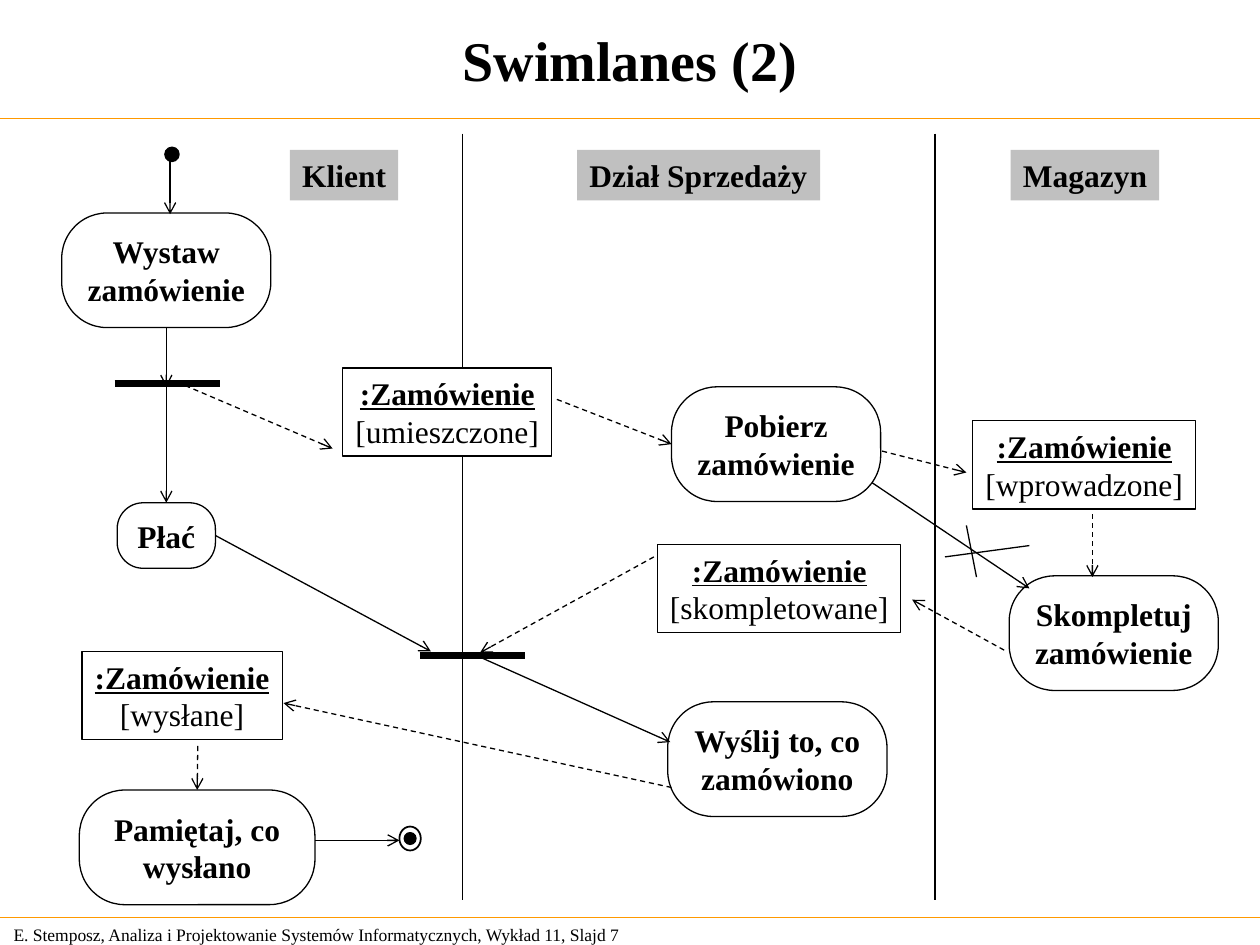
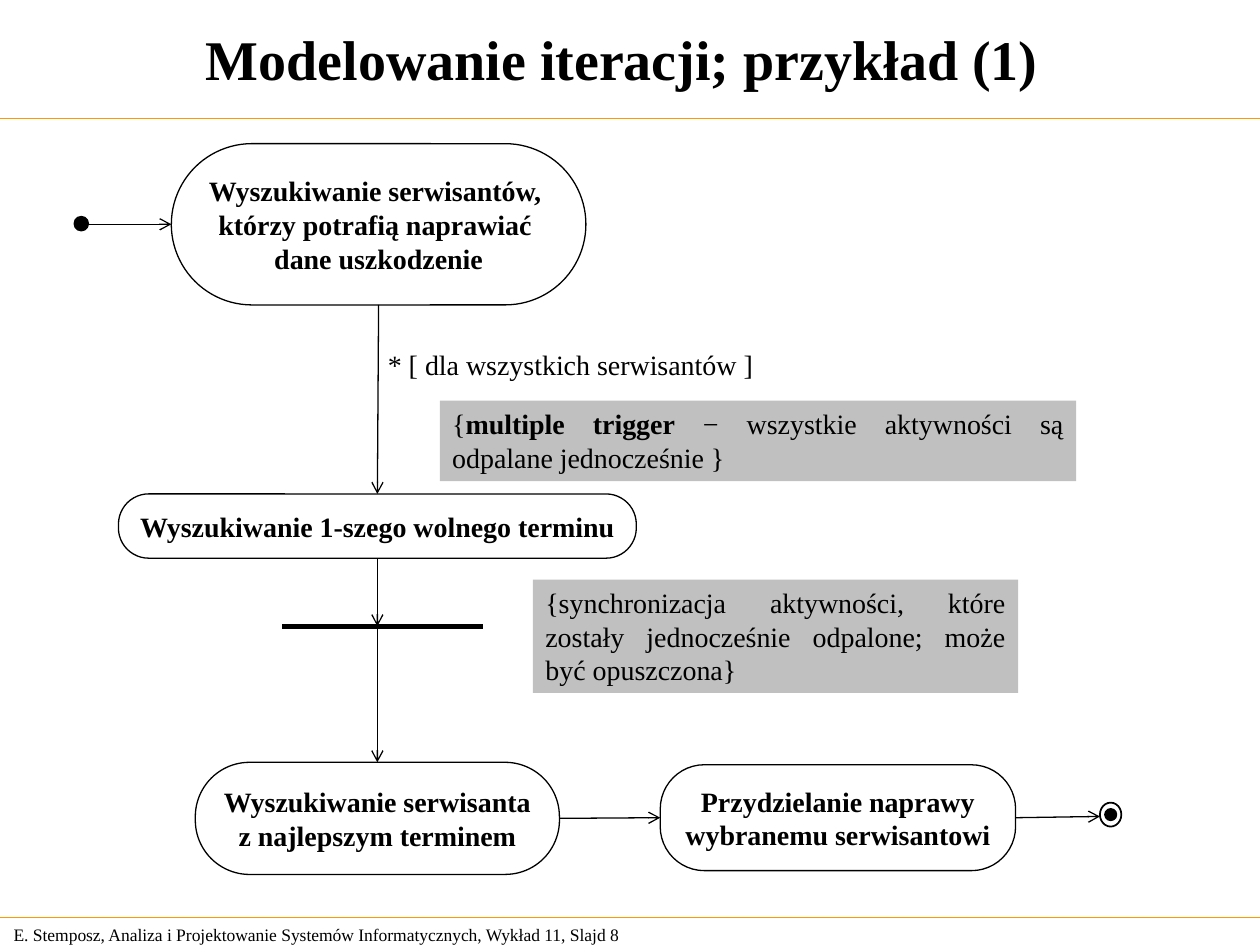
from lxml.etree import SubElement
from pptx import Presentation
from pptx.dml.color import RGBColor
from pptx.enum.dml import MSO_LINE
from pptx.enum.shapes import MSO_CONNECTOR, MSO_SHAPE as Kind
from pptx.enum.text import MSO_ANCHOR as Anchor, MSO_AUTO_SIZE, PP_ALIGN as Align
from pptx.oxml.ns import qn
from pptx.shapes.autoshape import Shape
from pptx.util import Inches, Pt

BLACK = RGBColor(0x00, 0x00, 0x00)
WHITE = RGBColor(0xFF, 0xFF, 0xFF)
GRAY = RGBColor(0xC0, 0xC0, 0xC0)
ORANGE = RGBColor(0xFF, 0x99, 0x00)
FONT = "Times New Roman"
TOP, LEFT, BOTTOM, RIGHT = range(4)
FOOTER = "E. Stemposz, Analiza i Projektowanie Systemów Informatycznych, Wykład 11, Slajd "

deck = Presentation()
deck.slide_width, deck.slide_height = Inches(10), Inches(7.5)
COLUMN = deck.slide_width / 100
ROW = deck.slide_height / 75


def add_box(shapes, kind, area, paras=(), size=18, fill=None, line=None,
            radius=None, align=Align.CENTER, anchor=Anchor.MIDDLE, wrap=False):
    """Add a shape; area is left, top, width, height in grid units.

    Each paragraph is a list of (text, style) runs; style may hold b and u.
    """
    left, top, width, height = area
    box = shapes.add_shape(kind, int(left * COLUMN), int(top * ROW),
                           int(width * COLUMN), int(height * ROW))
    box.shadow.inherit = False
    if radius is not None:
        box.adjustments[0] = radius
    if fill is None:
        box.fill.background()
    else:
        box.fill.solid()
        box.fill.fore_color.rgb = fill
    if line is None:
        box.line.fill.background()
    else:
        box.line.color.rgb = BLACK
        box.line.width = Pt(line)
    frame = box.text_frame
    frame.word_wrap = wrap
    frame.vertical_anchor = anchor
    for number, runs in enumerate(paras):
        para = frame.add_paragraph() if number else frame.paragraphs[0]
        para.alignment = align
        for text, style in runs:
            span = para.add_run()
            span.text = text
            span.font.name, span.font.size = FONT, Pt(size)
            span.font.color.rgb = BLACK
            span.font.bold = "b" in style
            span.font.underline = "u" in style
    return box


def add_line(page, start, end, width=0.75, color=BLACK, dashed=False, arrow=False):
    """Add a line; each end is a grid point or a (box, side) pair."""
    joins = [isinstance(point[0], Shape) for point in (start, end)]
    (x1, y1), (x2, y2) = [(0, 0) if joined else point
                          for joined, point in zip(joins, (start, end))]
    line = page.shapes.add_connector(MSO_CONNECTOR.STRAIGHT, int(x1 * COLUMN), int(y1 * ROW),
                                     int(x2 * COLUMN), int(y2 * ROW))
    if joins[0]:
        line.begin_connect(*start)
    if joins[1]:
        line.end_connect(*end)
    line.line.color.rgb = color
    line.line.width = Pt(width)
    if dashed:
        line.line.dash_style = MSO_LINE.DASH
    if arrow:
        SubElement(line.get_or_add_ln(), qn("a:tailEnd"), type="arrow")
    SubElement(line.element.spPr, qn("a:effectLst"))
    return line


# Shared frame: title, footer, rules, start and end states
layout = deck.slide_layouts.get_by_name("Title Only")
for holder in list(layout.placeholders):
    if holder.placeholder_format.idx:
        holder.element.getparent().remove(holder.element)

pages = []
for title_text, title_area, number, start_state, end_state in [
    ("Swimlanes (2)", (0.4, 0.4, 99.2, 8.5), 7, (13.1, 11.7), (31.7, 65.6)),
    ("Modelowanie iteracji; przykład (1) ", (0, 0, 99.9, 9.2), 8, (5.9, 17.2), (87.3, 63.7)),
]:
    page = deck.slides.add_slide(layout)
    pages.append(page)
    title = page.shapes.title
    left, top, width, height = title_area
    title.left, title.top = int(left * COLUMN), int(top * ROW)
    title.width, title.height = int(width * COLUMN), int(height * ROW)
    title.text_frame.auto_size = MSO_AUTO_SIZE.NONE
    title.text_frame.vertical_anchor = Anchor.MIDDLE
    para = title.text_frame.paragraphs[0]
    para.alignment = Align.CENTER
    span = para.add_run()
    span.text = title_text
    span.font.name, span.font.size, span.font.bold = FONT, Pt(32), True
    span.font.color.rgb = BLACK

    add_box(page.shapes, Kind.RECTANGLE, (0.1, 72.8, 52.4, 2.7),
            [[(FOOTER + str(number), "")]], size=10, align=Align.LEFT, wrap=True)
    add_box(page.shapes, Kind.OVAL, (*start_state, 1.1, 1.1), fill=BLACK, line=1)
    x, y = end_state
    end_mark = page.shapes.add_group_shape()
    add_box(end_mark.shapes, Kind.OVAL, (x, y, 1.7, 1.9), line=1)
    add_box(end_mark.shapes, Kind.OVAL, (x + 0.4, y + 0.5, 0.9, 0.9), fill=BLACK, line=1)

swimlanes, iteration = pages
for row in (9.4, 72.8):
    rule = add_line(swimlanes, (0, row), (100, row), color=ORANGE)
    layout.element.cSld.spTree.append(rule.element)

# Swimlanes
for column in (36.7, 74.2):
    add_line(swimlanes, (column, 10.6), (column, 71.4))
for lane, left, width in [("Klient", 23, 8.6), ("Dział Sprzedaży", 45.8, 19.3),
                          ("Magazyn", 80.2, 11.8)]:
    add_box(swimlanes.shapes, Kind.RECTANGLE, (left, 11.9, width, 4), [[(lane, "b")]],
            fill=GRAY, align=Align.LEFT, anchor=Anchor.TOP)

order, pay, take, complete, send, remember = [
    add_box(swimlanes.shapes, Kind.ROUNDED_RECTANGLE, area,
            [[(text, "b")] for text in lines], line=0.75, radius=0.396)
    for area, lines in [
        ((4.9, 16.9, 16.6, 9.1), ["Wystaw", "zamówienie"]),
        ((9.3, 39.9, 7.8, 5.2), ["Płać"]),
        ((53.3, 30.7, 16.6, 9.1), ["Pobierz", "zamówienie"]),
        ((80.1, 45.7, 16.6, 9.1), ["Skompletuj", "zamówienie"]),
        ((53, 55.7, 17.4, 9.1), ["Wyślij to, co", "zamówiono"]),
        ((6.3, 62.7, 18.7, 9.1), ["Pamiętaj, co", "wysłano"]),
    ]
]
for state, left, top, width in [
    ("[umieszczone]", 27.2, 29.2, 16.6),
    ("[wprowadzone]", 77.2, 33.4, 17.7),
    ("[skompletowane]", 52.2, 43.2, 19.3),
    ("[wysłane]", 6.5, 51.7, 15.9),
]:
    add_box(swimlanes.shapes, Kind.RECTANGLE, (left, top, width, 7),
            [[(":Zamówienie", "bu")], [(state, "")]], fill=WHITE, line=0.75)

for left, row in [(9.1, 30.4), (33.3, 52)]:
    add_line(swimlanes, (left, row), (left + 8.35, row), width=4)
for start, end in [
    ((13.5, 12.5), (13.5, 17)),
    ((order, BOTTOM), (13.2, 30.7)),
    ((13.2, 30.7), (pay, TOP)),
    ((pay, RIGHT), (34.2, 51.7)),
    ((38.2, 52.2), (53.2, 58.9)),
    ((69.2, 38.3), (81.7, 46.7)),
    ((25, 66.7), (31.7, 66.7)),
]:
    add_line(swimlanes, start, end, arrow=True)
for start, end in [
    ((14.7, 30.6), (26.4, 35.6)),
    ((44.2, 31.7), (take, LEFT)),
    ((70, 35.8), (76.7, 37.5)),
    ((86.7, 40.8), (86.7, 45.8)),
    ((79.7, 51.6), (72.4, 47.6)),
    ((51.9, 44.2), (38.1, 51.8)),
    ((15.7, 59.2), (remember, TOP)),
    ((53.3, 62.5), (22.5, 55.8)),
]:
    add_line(swimlanes, start, end, dashed=True, arrow=True)
for start, end in [((76.7, 41.7), (77.5, 45.8)), ((75, 44.2), (81.7, 43.3))]:
    add_line(swimlanes, start, end)

# Iteration
search, first_date, best_date, assign = [
    add_box(iteration.shapes, Kind.ROUNDED_RECTANGLE, area,
            [[(text, "b")] for text in lines], size=16, line=0.75, radius=radius)
    for area, radius, lines in [
        ((13.6, 11.4, 32.9, 12.8), 0.5,
         ["Wyszukiwanie serwisantów, ", "którzy potrafią naprawiać ", "dane uszkodzenie"]),
        ((9.4, 39.2, 41.1, 5.1), 0.47, ["Wyszukiwanie 1-szego wolnego terminu"]),
        ((15.5, 60.5, 28.9, 8.9), 0.484, ["Wyszukiwanie serwisanta", "z najlepszym terminem"]),
        ((52.4, 60.7, 28.2, 8.4), 0.417, ["Przydzielanie naprawy", "wybranemu serwisantowi"]),
    ]
]
add_box(iteration.shapes, Kind.RECTANGLE, (29.8, 27.1, 31, 3.7),
        [[("* [ dla wszystkich serwisantów ]", "")]], size=16, align=Align.LEFT, anchor=Anchor.TOP)
for area, runs in [
    ((34.9, 31.8, 50.5, 6.4),
     [("{", ""), ("multiple trigger ", "b"),
      ("− wszystkie aktywności są odpalane jednocześnie } ", "")]),
    ((42.3, 46, 38.5, 9),
     [("{synchronizacja aktywności, które zostały jednocześnie odpalone; "
       "może być opuszczona}", "")]),
]:
    add_box(iteration.shapes, Kind.RECTANGLE, area, [runs], size=16, fill=GRAY,
            align=Align.JUSTIFY, anchor=Anchor.TOP, wrap=True)

add_line(iteration, (22.4, 49.7), (38.3, 49.7), width=3)
for start, end in [
    ((7, 17.8), (search, LEFT)),
    ((search, BOTTOM), (first_date, TOP)),
    ((first_date, BOTTOM), (29.95, 49.7)),
    ((29.95, 49.7), (best_date, TOP)),
    ((best_date, RIGHT), (assign, LEFT)),
    ((assign, RIGHT), (87.3, 64.8)),
]:
    add_line(iteration, start, end, arrow=True)

deck.save("out.pptx")
